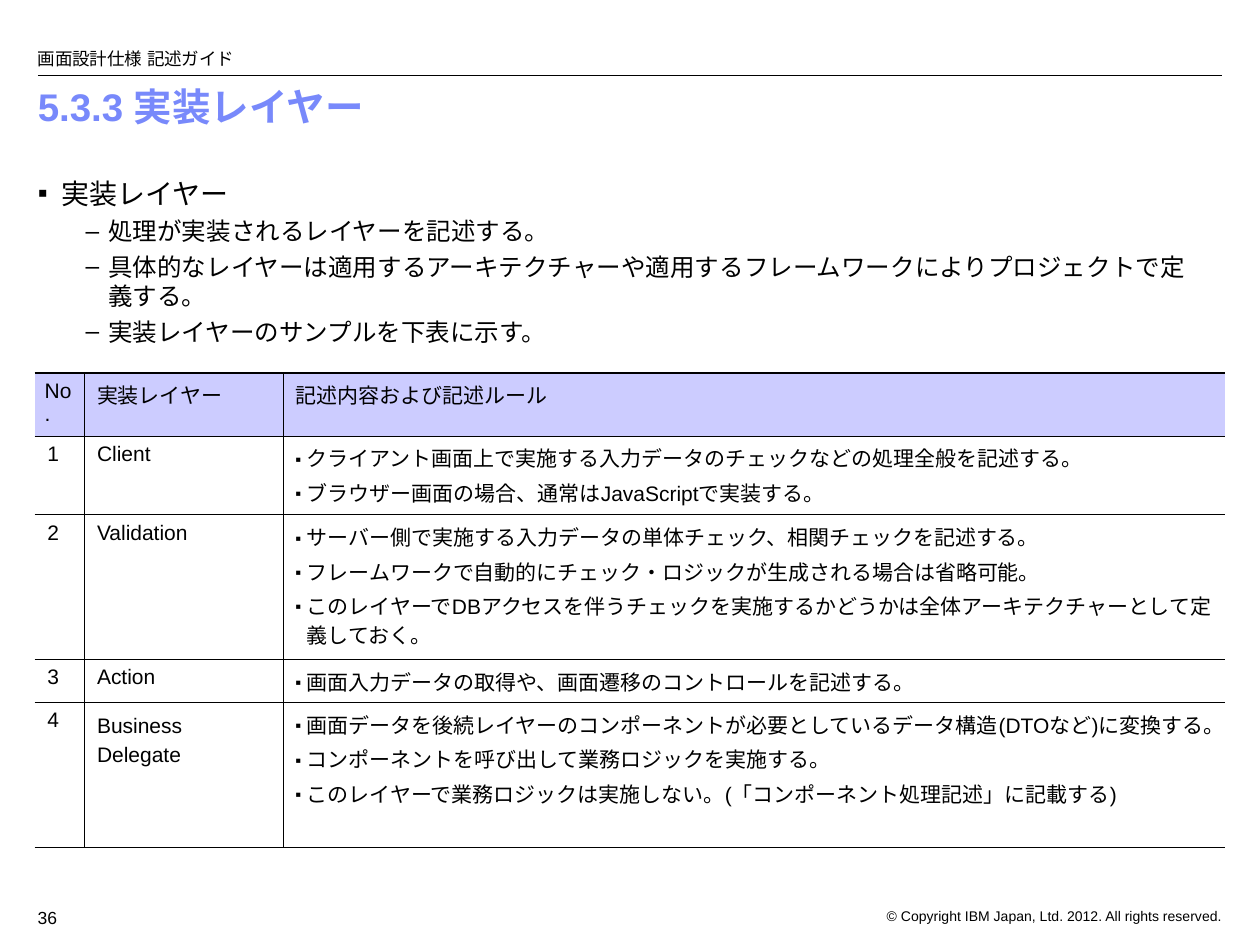
from dataclasses import dataclass

from lxml.etree import SubElement
from pptx import Presentation
from pptx.dml.color import RGBColor as RGB
from pptx.enum.lang import MSO_LANGUAGE_ID as LANG
from pptx.enum.shapes import MSO_CONNECTOR as CONNECTOR
from pptx.enum.text import MSO_ANCHOR as ANCHOR, MSO_AUTO_SIZE as AUTO, PP_ALIGN as ALIGN
from pptx.oxml.ns import qn
from pptx.util import Inches, Pt


@dataclass(frozen=True)
class Theme:
    font: str = "Arial"
    ink: str = "000000"
    accent: str = "7889FB"
    header_fill: str = "CCCCFF"
    title: float = 22
    lead: float = 16
    item: float = 14
    cell: float = 12
    small: float = 10
    legal: float = 8
    rule: float = 0.75
    thin: float = 0.45
    thick: float = 1.08
    cell_spacing: float = 1.24  # for Japanese text in the table


T = Theme()
UNIT = 0.05  # grid step in inches: 200 columns by 150 rows
PLAIN_TABLE = "{2D5ABB26-0587-4C30-8999-92F81FD0307C}"

BODY = [
    (0, "実装レイヤー"),
    (1, "処理が実装されるレイヤーを記述する。"),
    (1, "具体的なレイヤーは適用するアーキテクチャーや適用するフレームワークによりプロジェクトで定義する。"),
    (1, "実装レイヤーのサンプルを下表に示す。"),
]
# Per outline level: size, bullet, left indent, hanging indent, space before
LEVELS = [
    (T.lead, "▪", 0.19, 0.19, 4),
    (T.item, "–", 0.56, 0.18, 3.5),
]
HEADER = ["No.", "実装レイヤー", "記述内容および記述ルール"]
LAYERS = [
    ("Client", [
        "クライアント画面上で実施する入力データのチェックなどの処理全般を記述する。",
        "ブラウザー画面の場合、通常はJavaScriptで実装する。"]),
    ("Validation", [
        "サーバー側で実施する入力データの単体チェック、相関チェックを記述する。",
        "フレームワークで自動的にチェック・ロジックが生成される場合は省略可能。",
        "このレイヤーでDBアクセスを伴うチェックを実施するかどうかは全体アーキテクチャーとして定義しておく。"]),
    ("Action", [
        "画面入力データの取得や、画面遷移のコントロールを記述する。"]),
    ("Business　Delegate", [
        "画面データを後続レイヤーのコンポーネントが必要としているデータ構造(DTOなど)に変換する。",
        "コンポーネントを呼び出して業務ロジックを実施する。",
        "このレイヤーで業務ロジックは実施しない。(「コンポーネント処理記述」に記載する)"]),
]
COL_WIDTHS = [7.9, 31.5, 149.5]
ROW_HEIGHTS = [10, 12.5, 23, 6.8, 23]


def grid(*steps):
    return [Inches(n * UNIT) for n in steps]


def place(s, *area):
    s.left, s.top, s.width, s.height = grid(*area)


def set_bullet(p, char, left, hang, scale=100):
    pPr = p._p.get_or_add_pPr()
    pPr.set("marL", str(Inches(left)))
    pPr.set("indent", str(-Inches(hang)))
    color = SubElement(pPr, qn("a:buClr"))
    SubElement(color, qn("a:srgbClr"), val=T.ink)
    SubElement(pPr, qn("a:buSzPct"), val=str(scale * 1000))
    SubElement(pPr, qn("a:buFont"), typeface=T.font)
    SubElement(pPr, qn("a:buChar"), char=char)


def add_text(tf, text, size, color=T.ink, bold=False, align=ALIGN.LEFT,
             before=0, spacing=1.0, level=0, bullet=None):
    """Write text in the frame's empty first paragraph, or in a new one."""
    first = not tf.paragraphs[0].runs
    p = tf.paragraphs[0] if first else tf.add_paragraph()
    if bullet:
        set_bullet(p, *bullet)
    p.level, p.alignment = level, align
    p.space_before = Pt(0 if first else before)
    p.line_spacing = spacing
    r = p.add_run()
    r.text = text
    r.font.name, r.font.size, r.font.bold = T.font, Pt(size), bold
    r.font.color.rgb = RGB.from_string(color)
    r.font.language_id = LANG.JAPANESE
    SubElement(r._r.get_or_add_rPr(), qn("a:ea"), typeface=T.font)


def set_frame(tf, anchor=ANCHOR.TOP, pad=1):
    tf.word_wrap, tf.auto_size = True, AUTO.NONE
    tf.vertical_anchor = anchor
    tf.margin_left, tf.margin_top, tf.margin_right, tf.margin_bottom = grid(2, pad, 2, pad)


def add_label(slide, area, text, size, anchor=ANCHOR.TOP, pad=1, **fmt):
    s = slide.shapes.add_textbox(*grid(*area))
    set_frame(s.text_frame, anchor, pad)
    add_text(s.text_frame, text, size, **fmt)


def add_rule(slide, x1, y1, x2, y2):
    line = slide.shapes.add_connector(CONNECTOR.STRAIGHT, *grid(x1, y1, x2, y2))
    line.line.width = Pt(T.rule)
    line.line.color.rgb = RGB.from_string(T.ink)
    SubElement(line._element.spPr, qn("a:effectLst"))


def set_borders(cell, **widths):
    """Draw the given sides (L, R, T, B); call before filling the cell."""
    tcPr = cell._tc.get_or_add_tcPr()
    for side in "LRTB":
        width = widths.get(side)
        if width:
            ln = SubElement(tcPr, qn(f"a:ln{side}"), w=str(Pt(width)))
            fill = SubElement(ln, qn("a:solidFill"))
            SubElement(fill, qn("a:srgbClr"), val=T.ink)


def add_layer_table(slide):
    rows = [HEADER] + [(str(n), *layer) for n, layer in enumerate(LAYERS, 1)]
    area = grid(5.5, 59.2, sum(COL_WIDTHS), sum(ROW_HEIGHTS))
    table = slide.shapes.add_table(len(rows), len(HEADER), *area).table
    table.first_row = table.horz_banding = False
    table._tbl.tblPr.find(qn("a:tableStyleId")).text = PLAIN_TABLE
    for col, width in zip(table.columns, grid(*COL_WIDTHS)):
        col.width = width
    for row, height in zip(table.rows, grid(*ROW_HEIGHTS)):
        row.height = height

    last = len(HEADER) - 1
    for i, values in enumerate(rows):
        for j, value in enumerate(values):
            cell = table.cell(i, j)
            side = Inches(0.08 if i == j == 0 else 0.1)
            cell.margin_left = cell.margin_right = side
            cell.margin_top = cell.margin_bottom = Inches(0.05)
            set_borders(cell, L=T.thin if j else None,
                        R=T.thin if j < last else None,
                        T=T.thin if i else T.thick, B=T.thin)
            if i == 0:
                cell.fill.solid()
                cell.fill.fore_color.rgb = RGB.from_string(T.header_fill)
            else:
                cell.fill.background()
            listed = isinstance(value, list)
            for text in value if listed else [value]:
                add_text(cell.text_frame, text, T.cell, before=3,
                         spacing=1.0 if text.isascii() else T.cell_spacing,
                         bullet=("▪", 0.09, 0.09, 80) if listed else None)


def add_title_and_body(slide):
    title, body = slide.placeholders
    place(title, 4, 13, 190, 10)
    set_frame(title.text_frame)
    add_text(title.text_frame, "5.3.3 実装レイヤー", T.title, color=T.accent,
             bold=True, spacing=0.9)
    place(body, 4, 27, 190, 114)
    set_frame(body.text_frame)
    for level, text in BODY:
        size, char, left, hang, before = LEVELS[level]
        add_text(body.text_frame, text, size, before=before, level=level,
                 bullet=(char, left, hang))


def main():
    prs = Presentation()
    prs.slide_width, prs.slide_height = grid(200, 150)
    slide = prs.slides.add_slide(prs.slide_layouts[1])

    # Running header and footer
    add_rule(slide, 6, 12, 194, 12)
    add_label(slide, (4, 3, 149.6, 8), "画面設計仕様 記述ガイド", T.small,
              anchor=ANCHOR.BOTTOM, pad=0)
    add_label(slide, (125.2, 143, 70.8, 4),
              "© Copyright IBM Japan, Ltd. 2012. All rights reserved.",
              T.legal, align=ALIGN.RIGHT)
    add_label(slide, (4, 143, 9.6, 4), "36", T.small)

    # Content
    add_title_and_body(slide)
    add_layer_table(slide)
    prs.save("out.pptx")


if __name__ == "__main__":
    main()
